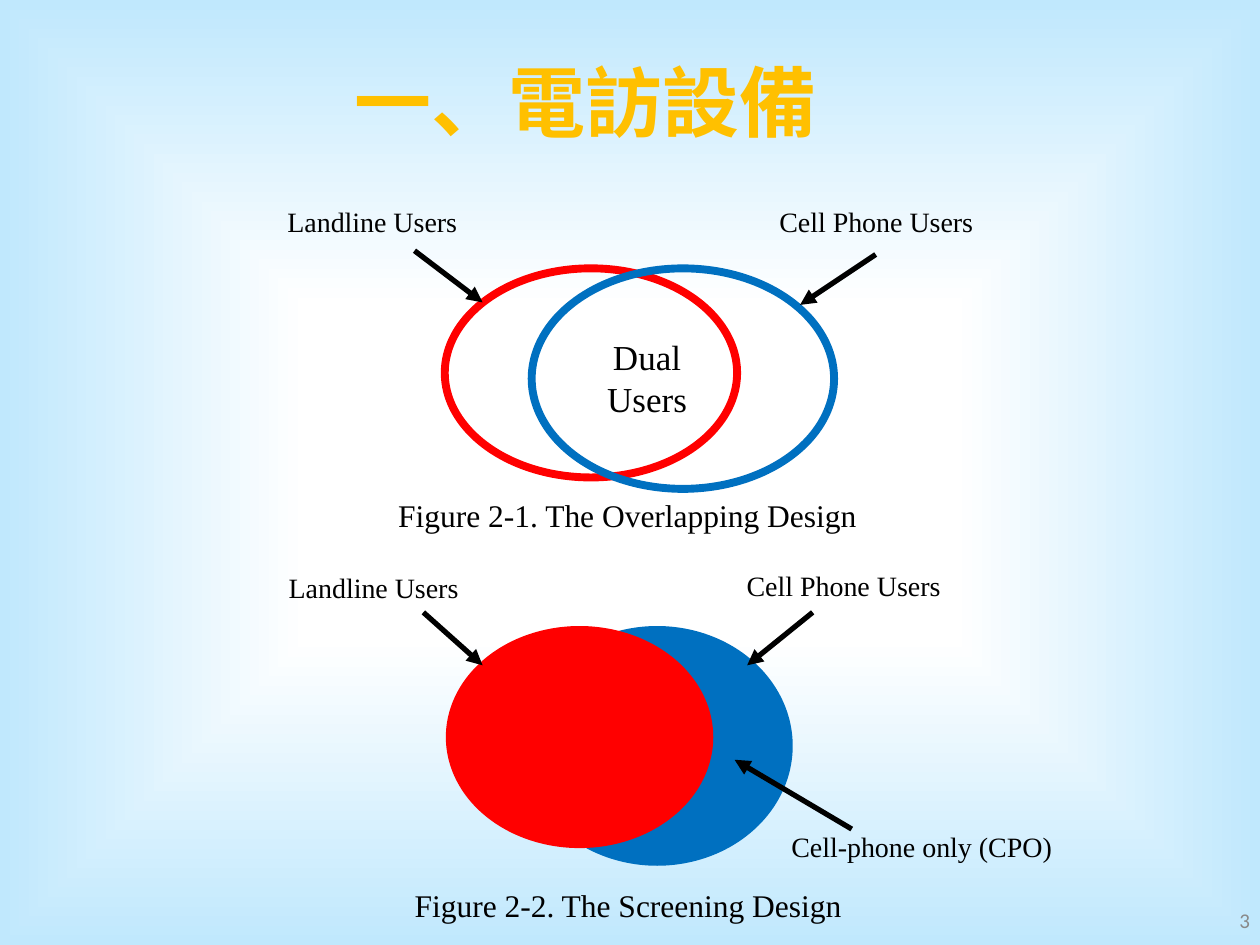
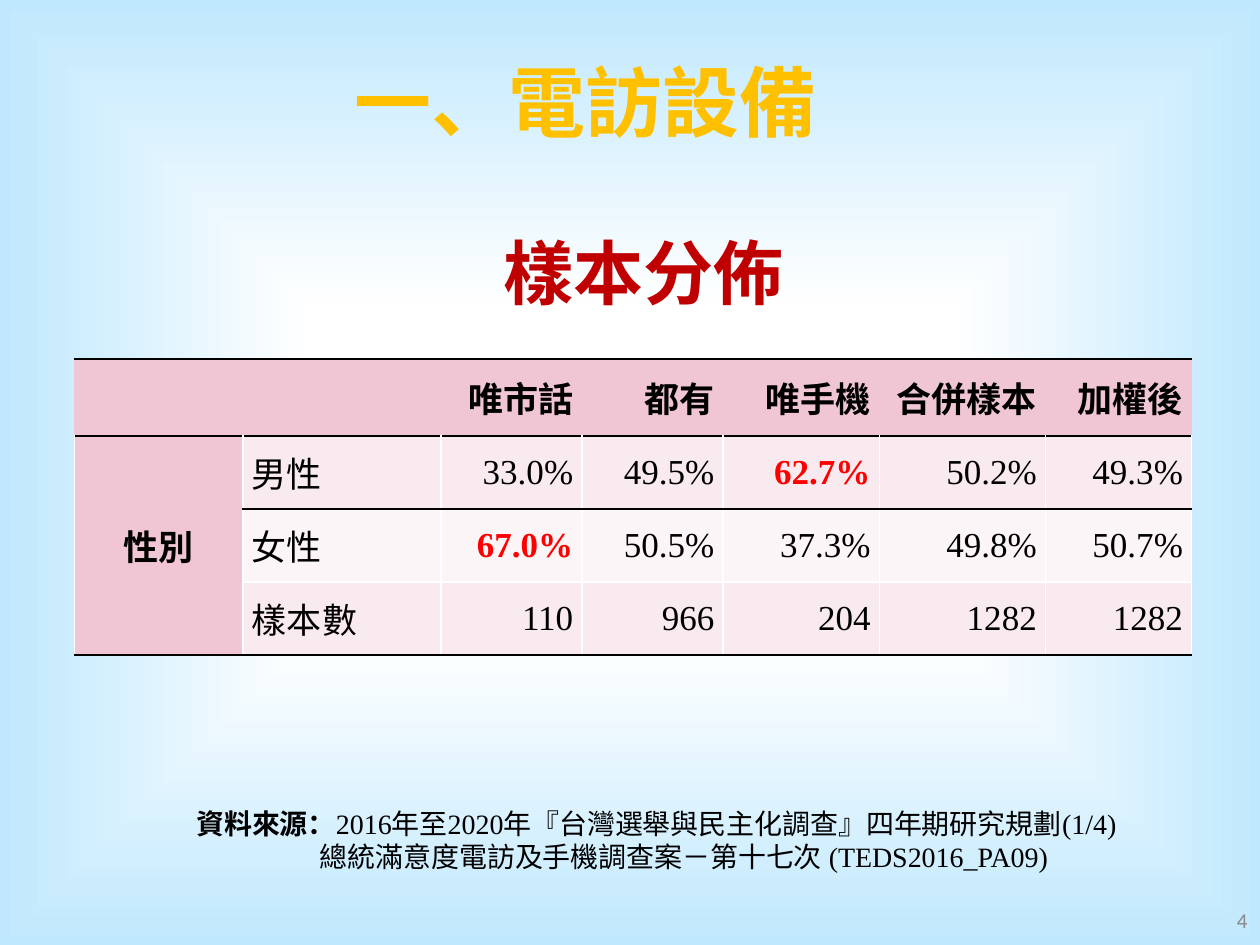
from lxml import etree
from pptx import Presentation
from pptx.dml.color import RGBColor
from pptx.enum.shapes import MSO_CONNECTOR, MSO_SHAPE
from pptx.enum.text import MSO_ANCHOR, PP_ALIGN
from pptx.oxml.ns import qn
from pptx.util import Inches, Pt

LEFT, MID, RIGHT, JUST = PP_ALIGN.LEFT, PP_ALIGN.CENTER, PP_ALIGN.RIGHT, PP_ALIGN.JUSTIFY
TOP, CENTER = MSO_ANCHOR.TOP, MSO_ANCHOR.MIDDLE
OVAL, STRAIGHT = MSO_SHAPE.OVAL, MSO_CONNECTOR.STRAIGHT

# Shared colours and text styles
BLACK, WHITE, RED, BLUE = "000000", "FFFFFF", "FF0000", "0070C0"
PINK, ROSE, PALE = "F0C5D4", "F9EAEF", "FCF5F7"
SERIF = "Times New Roman"
TITLE = dict(size=44, color="FFC000", bold=True)
HEAD = dict(size=40, color="C00000", bold=True)
LABEL = dict(size=16)
CAPTION = dict(size=18)
BODY = dict(size=20)
BOLD = dict(size=20, bold=True)
HIGH = dict(size=20, color=RED, bold=True)
PAGE = dict(size=12, color="898989", name="Calibri")
NO_GRID = "{2D5ABB26-0587-4C30-8999-92F81FD0307C}"


def rgb(code):
    return RGBColor.from_string(code)


def put(item, values):
    for key, value in values.items():
        setattr(item, key, value)


def node(parent, tag, **attrs):
    return etree.SubElement(parent, qn(tag), {k: str(v) for k, v in attrs.items()})


def add_run(para, words, size, color=BLACK, bold=False, name=SERIF):
    run = para.add_run()
    run.text = words
    put(run.font, dict(size=Pt(size), bold=bold, name=name))
    run.font.color.rgb = rgb(color)


def add_text(shapes, at, lines, look, align=MID, anchor=TOP, inset=None):
    """Each line is a string, or a list of (words, extra style) runs."""
    box = shapes.add_textbox(*map(Inches, at))
    frame = box.text_frame
    put(frame, dict(word_wrap=True, vertical_anchor=anchor))
    if inset is not None:
        sides = ("left", "right", "top", "bottom")
        put(frame, {f"margin_{side}": Inches(inset) for side in sides})
    for i, line in enumerate(lines):
        para = frame.add_paragraph() if i else frame.paragraphs[0]
        para.alignment = align
        for words, extra in [(line, {})] if isinstance(line, str) else line:
            add_run(para, words, **{**look, **extra})
    return box


def add_oval(shapes, at, color, solid):
    oval = shapes.add_shape(OVAL, *map(Inches, at))
    oval.shadow.inherit = False
    if solid:
        oval.fill.solid()
        oval.fill.fore_color.rgb = rgb(color)
    else:
        oval.fill.background()
    oval.line.color.rgb = rgb(color)
    oval.line.width = Pt(4.5)


def add_arrow(shapes, ends):
    arrow = shapes.add_connector(STRAIGHT, *map(Inches, ends))
    arrow.line.color.rgb = rgb(BLACK)
    arrow.line.width = Pt(3)
    props = arrow.element.spPr
    node(props.find(qn("a:ln")), "a:tailEnd", type="triangle")
    node(props, "a:effectLst")


def add_venn(slide, ovals, solid, labels, arrows):
    shapes = slide.shapes.add_group_shape().shapes
    for at, color in ovals:
        add_oval(shapes, at, color, solid)
    for at, words in labels:
        add_text(shapes, at, [words], LABEL, inset=0)
    for ends in arrows:
        add_arrow(shapes, ends)
    return shapes


def set_edge(cell, side, color, width):
    line = node(cell.fill and cell._tc.get_or_add_tcPr(), f"a:ln{side}", w=Pt(width))
    node(node(line, "a:solidFill"), "a:srgbClr", val=color)


def add_table(slide, left, top, cols, rows, data):
    size = Inches(sum(cols)), Inches(sum(rows))
    frame = slide.shapes.add_table(len(rows), len(cols), Inches(left), Inches(top), *size)
    table = frame.table
    put(table, dict(first_row=False, horz_banding=False))
    next(frame.element.iter(qn("a:tableStyleId"))).text = NO_GRID
    for part, sizes, key in ((table.columns, cols, "width"), (table.rows, rows, "height")):
        for item, value in zip(part, sizes):
            setattr(item, key, Inches(value))
    table.cell(1, 0).merge(table.cell(3, 0))

    edges = [(BLACK, 1.5)] * 3 + [(WHITE, 1), (BLACK, 1.5)]
    for r, line in enumerate(data):
        for c, words in enumerate(line):
            cell = table.cell(r, c)
            if r:
                for side in "LR":
                    set_edge(cell, side, WHITE, 1)
            set_edge(cell, "T", *edges[r])
            set_edge(cell, "B", *edges[4 if r and c == 0 else r + 1])
            cell.fill.solid()
            shade = PINK if r == 0 or c == 0 else (PALE if r == 2 else ROSE)
            cell.fill.fore_color.rgb = rgb(shade)
            put(cell, dict(vertical_anchor=CENTER, margin_left=Inches(0.07),
                           margin_right=Inches(0.07), margin_top=0, margin_bottom=0))
            para = cell.text_frame.paragraphs[0]
            if c == 0:
                para.alignment = MID
            else:
                para.alignment = JUST if c == 1 else RIGHT
            if words:
                look = BOLD if r == 0 or c == 0 else BODY
                add_run(para, words, **(HIGH if words in ("62.7%", "67.0%") else look))


def set_back(master):
    fill = master.background.fill
    fill.gradient()
    grad = next(master.element.iter(qn("a:gradFill")))
    for child in list(grad):
        grad.remove(child)
    stops = node(grad, "a:gsLst")
    for pos, color in ((35, WHITE), (100, "C0E8FD")):
        node(node(stops, "a:gs", pos=pos * 1000), "a:srgbClr", val=color)
    way = node(grad, "a:path", path="shape")
    node(way, "a:fillToRect", l=50000, t=50000, r=50000, b=50000)


def new_slide(deck):
    slide = deck.slides.add_slide(deck.slide_layouts[6])
    add_text(slide.shapes, (0.91, 0.29, 7.48, 1.01), ["一、電訪設備"], TITLE, anchor=CENTER)
    return slide


def add_page(slide, number, left):
    add_text(slide.shapes, (left, 7.1, 2.33, 0.4), [number], PAGE, RIGHT, CENTER)


def draw_designs(deck):
    slide = new_slide(deck)
    # Overlapping design
    dual = add_venn(
        slide, [((3.53, 2.13, 2.32, 1.66), RED), ((4.22, 2.13, 2.4, 1.75), BLUE)], False,
        [((1.89, 1.62, 2.13, 0.5), "Landline Users"),
         ((5.89, 1.62, 2.13, 0.39), "Cell Phone Users")],
        [(3.29, 1.99, 3.83, 2.4), (6.95, 2.02, 6.35, 2.42)])
    add_text(dual, (4.49, 2.12, 1.29, 1.76), ["Dual", "Users"], BODY, anchor=CENTER, inset=0)
    # Screening design
    add_venn(
        slide, [((4.17, 5, 2.09, 1.84), BLUE), ((3.57, 5, 2.06, 1.7), RED)], True,
        [((2.04, 4.53, 1.85, 0.52), "Landline Users"),
         ((5.77, 4.51, 1.85, 0.52), "Cell Phone Users"),
         ((6.12, 6.58, 2.39, 0.52), "Cell-phone only (CPO)")],
        [(3.36, 4.86, 3.83, 5.28), (6.45, 4.86, 5.93, 5.28), (6.76, 6.58, 5.83, 6.03)])
    # Captions
    for at, words in (((2.04, 3.89, 5.88, 0.4), "Figure 2-1. The Overlapping Design"),
                      ((1.89, 6.98, 6.19, 0.4), "Figure 2-2. The Screening Design")):
        add_text(slide.shapes, at, [words], CAPTION)
    add_page(slide, "3", 7.69)


def draw_sample(deck):
    slide = new_slide(deck)
    add_text(slide.shapes, (3.9, 1.77, 2.45, 0.77), ["樣本分佈"], HEAD, LEFT)
    # Source note, with its second line set in
    note = add_text(
        slide.shapes, (1.46, 6.35, 7.6, 0.64),
        [[("資料來源：", dict(bold=True)),
          ("2016年至2020年『台灣選舉與民主化調查』四年期研究規劃(1/4)", {})],
         "總統滿意度電訪及手機調查案－第十七次 (TEDS2016_PA09)"], LABEL, LEFT)
    last = list(note.element.iter(qn("a:p")))[-1]
    last.get_or_add_pPr().set("indent", str(Inches(0.98)))
    # Sample table
    add_table(slide, 0.59, 2.85, [1.34, 1.57, 1.12, 1.12, 1.24, 1.32, 1.16],
              [0.61, 0.58, 0.58, 0.58],
              [["", "", "唯市話", "都有", "唯手機", "合併樣本", "加權後"],
               ["性別", "男性", "33.0%", "49.5%", "62.7%", "50.2%", "49.3%"],
               ["", "女性", "67.0%", "50.5%", "37.3%", "49.8%", "50.7%"],
               ["", "樣本數", "110", "966", "204", "1282", "1282"]])
    add_page(slide, "4", 7.67)


def main():
    deck = Presentation()
    put(deck, dict(slide_width=Inches(10), slide_height=Inches(7.5)))
    set_back(deck.slide_master)
    draw_designs(deck)
    draw_sample(deck)
    deck.save("out.pptx")


if __name__ == "__main__":
    main()
